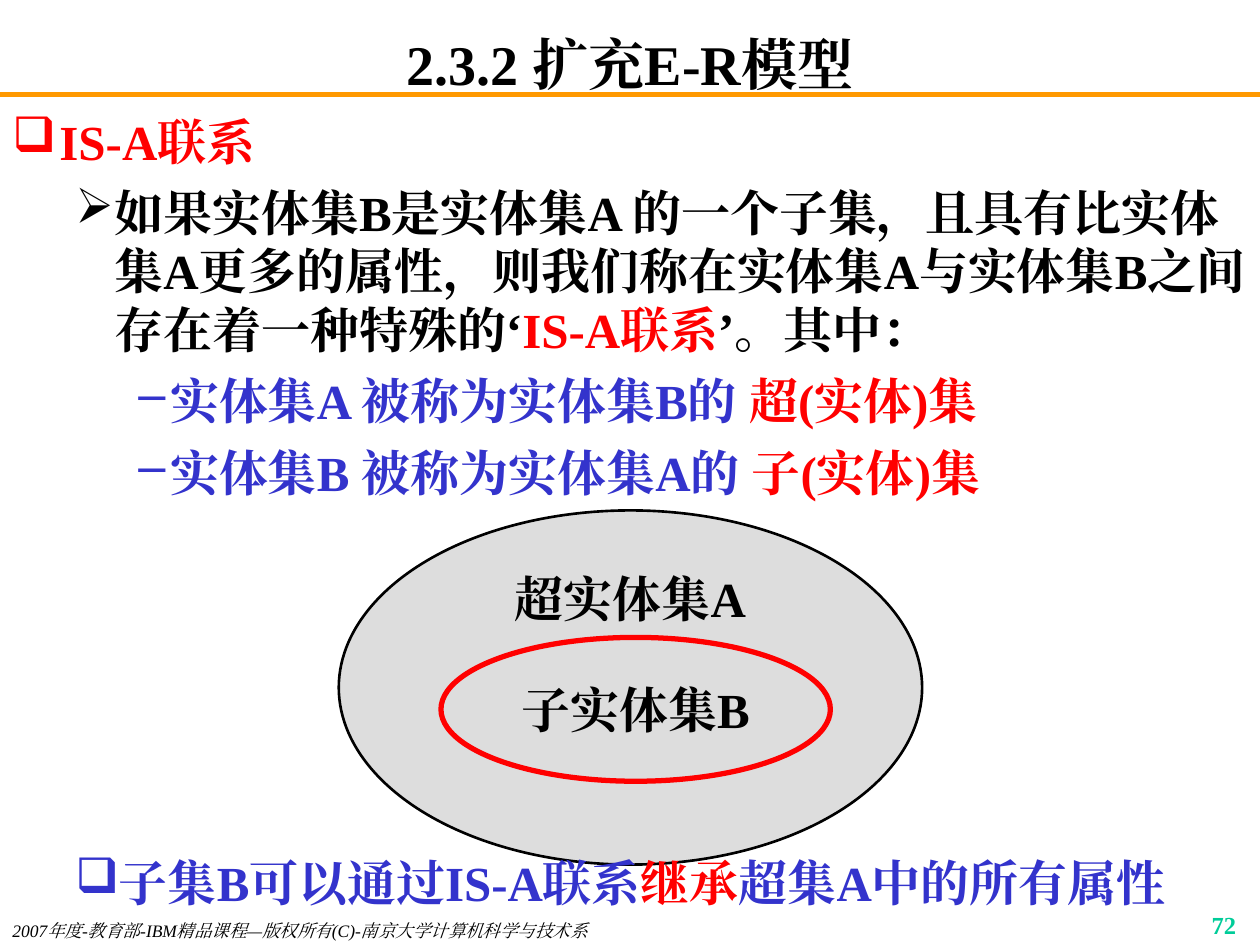
"""Build the slide that explains the IS-A relationship of the extended E-R model."""
import dataclasses

import lxml.etree
import pptx
import pptx.dml.color
import pptx.enum.shapes
import pptx.enum.text
import pptx.oxml.ns
import pptx.util

Cm = pptx.util.Cm
Align = pptx.enum.text.PP_ALIGN
Anchor = pptx.enum.text.MSO_ANCHOR
qn = pptx.oxml.ns.qn


@dataclasses.dataclass(frozen=True)
class Theme:
    font: str = "Times New Roman"
    black: str = "000000"
    red: str = "FF0000"
    blue: str = "3333CC"
    green: str = "00CC99"
    orange: str = "FF9900"
    grey: str = "DDDDDD"
    title_size: int = 32
    body_size: int = 28
    number_size: int = 14
    footer_size: int = 10
    paragraph_gap: int = 7


@dataclasses.dataclass(frozen=True)
class Bullet:
    character: str
    color: str
    level: int
    margin: float
    hanging: float


THEME = Theme()
TOPIC = Bullet("❑", THEME.red, 0, 0.95, 0.95)
DEFINITION = Bullet("➢", THEME.black, 1, 2.06, 0.79)
ROLE = Bullet("–", THEME.blue, 2, 3.18, 0.64)
CONCLUSION = Bullet("❑", THEME.blue, 1, 2.06, 0.79)


def rgb(color):
    return pptx.dml.color.RGBColor.from_string(color)


def set_bullet(paragraph, bullet):
    paragraph.level = bullet.level
    properties = paragraph._p.get_or_add_pPr()
    properties.set("marL", str(Cm(bullet.margin)))
    properties.set("indent", str(-Cm(bullet.hanging)))
    color = lxml.etree.SubElement(properties, qn("a:buClr"))
    lxml.etree.SubElement(color, qn("a:srgbClr"), val=bullet.color)
    lxml.etree.SubElement(properties, qn("a:buChar"), char=bullet.character)


def write_paragraph(paragraph, runs, *, size=THEME.body_size, bold=True, italic=False,
                    align=Align.LEFT, bullet=None, space_before=0, line_spacing=None):
    if bullet:
        set_bullet(paragraph, bullet)
    paragraph.alignment = align
    paragraph.space_before = pptx.util.Pt(space_before)
    if line_spacing:
        paragraph.line_spacing = line_spacing
    for text, color in runs:
        run = paragraph.add_run()
        run.text = text
        run.font.name = THEME.font
        run.font.size = pptx.util.Pt(size)
        run.font.bold = bold
        run.font.italic = italic
        run.font.color.rgb = rgb(color)
        lxml.etree.SubElement(run._r.get_or_add_rPr(), qn("a:ea"), typeface=THEME.font)


class SlideBuilder:
    def __init__(self, slide, theme):
        self.slide = slide
        self.theme = theme

    def prepare_frame(self, shape, anchor, padding):
        frame = shape.text_frame
        frame.word_wrap = True
        frame.vertical_anchor = anchor
        frame.margin_left = frame.margin_right = Cm(0.25)
        frame.margin_top = frame.margin_bottom = Cm(padding)
        return frame

    def text(self, box, paragraphs, anchor=Anchor.TOP, padding=0.13, **style):
        shape = self.slide.shapes.add_textbox(*map(Cm, box))
        frame = self.prepare_frame(shape, anchor, padding)
        for index, (runs, bullet) in enumerate(paragraphs):
            paragraph = frame.add_paragraph() if index else frame.paragraphs[0]
            gap = self.theme.paragraph_gap if index else 0
            write_paragraph(paragraph, runs, bullet=bullet, space_before=gap, **style)

    def ellipse(self, box, label, line_color, line_width, fill=None, padding=0.13):
        shape = self.slide.shapes.add_shape(
            pptx.enum.shapes.MSO_SHAPE.OVAL, *map(Cm, box))
        shape.shadow.inherit = False
        if fill:
            shape.fill.solid()
            shape.fill.fore_color.rgb = rgb(fill)
        else:
            shape.fill.background()
        shape.line.color.rgb = rgb(line_color)
        shape.line.width = pptx.util.Pt(line_width)
        frame = self.prepare_frame(shape, Anchor.TOP, padding)
        write_paragraph(frame.paragraphs[0], [(label, self.theme.black)], align=Align.CENTER)

    def line(self, start, end, color, width):
        connector = self.slide.shapes.add_connector(
            pptx.enum.shapes.MSO_CONNECTOR.STRAIGHT, *map(Cm, start + end))
        connector.line.color.rgb = rgb(color)
        connector.line.width = pptx.util.Pt(width)
        lxml.etree.SubElement(connector._element.spPr, qn("a:effectLst"))


def role_runs(entity, other, role):
    return [(f"实体集{entity} 被称为实体集{other}的 ", THEME.blue),
            (f"{role}(实体)集", THEME.red)]


def main():
    presentation = pptx.Presentation()
    presentation.slide_width = Cm(25.4)
    presentation.slide_height = Cm(19.05)
    slide = presentation.slides.add_slide(presentation.slide_layouts[6])
    builder = SlideBuilder(slide, THEME)

    builder.line((0, 1.9), (25.4, 1.9), THEME.orange, 3)
    builder.text((1.9, 0.64, 21.6, 1.27), [([("2.3.2 扩充E-R模型", THEME.black)], None)],
                 anchor=Anchor.MIDDLE, padding=0, size=THEME.title_size, align=Align.CENTER)
    definition = [
        ("如果实体集B是实体集A 的一个子集，且具有比实体集A更多的属性，"
         "则我们称在实体集A与实体集B之间存在着一种特殊的‘", THEME.black),
        ("IS-A联系", THEME.red),
        ("’。其中：", THEME.black),
    ]
    builder.text((0, 2.11, 25.4, 8.26), [
        ([("IS-A联系", THEME.red)], TOPIC),
        (definition, DEFINITION),
        (role_runs("A", "B", "超"), ROLE),
        (role_runs("B", "A", "子"), ROLE),
    ])
    footer = "2007年度-教育部-IBM精品课程—版权所有(C)-南京大学计算机科学与技术系"
    builder.text((0, 18.42, 13.97, 0.64), [([(footer, THEME.black)], None)],
                 size=THEME.footer_size, bold=False, italic=True)
    builder.text((19.89, 18.21, 5.28, 0.64), [([("72", THEME.green)], None)],
                 size=THEME.number_size, align=Align.RIGHT)
    builder.ellipse((6.83, 10.29, 11.76, 7.14), "超实体集A", THEME.black, 1.5, fill=THEME.grey)
    builder.ellipse((8.89, 12.85, 7.85, 2.9), "子实体集B", THEME.red, 3, padding=0.43)
    conclusion = [("子集B可以通过IS-A联系", THEME.blue), ("继承", THEME.red),
                  ("超集A中的所有属性", THEME.blue)]
    builder.text((0, 16.94, 25.4, 1.27), [(conclusion, CONCLUSION)], line_spacing=1.1)
    presentation.save("out.pptx")


if __name__ == "__main__":
    main()
